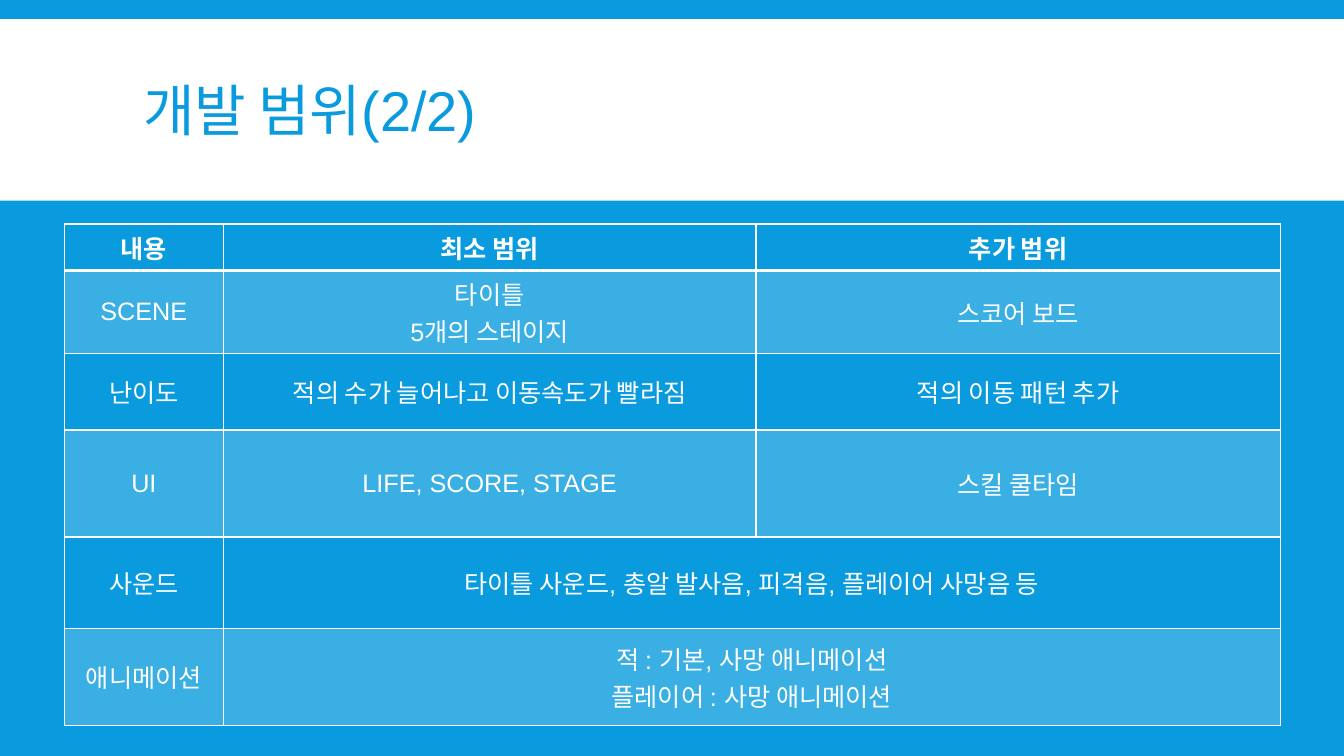
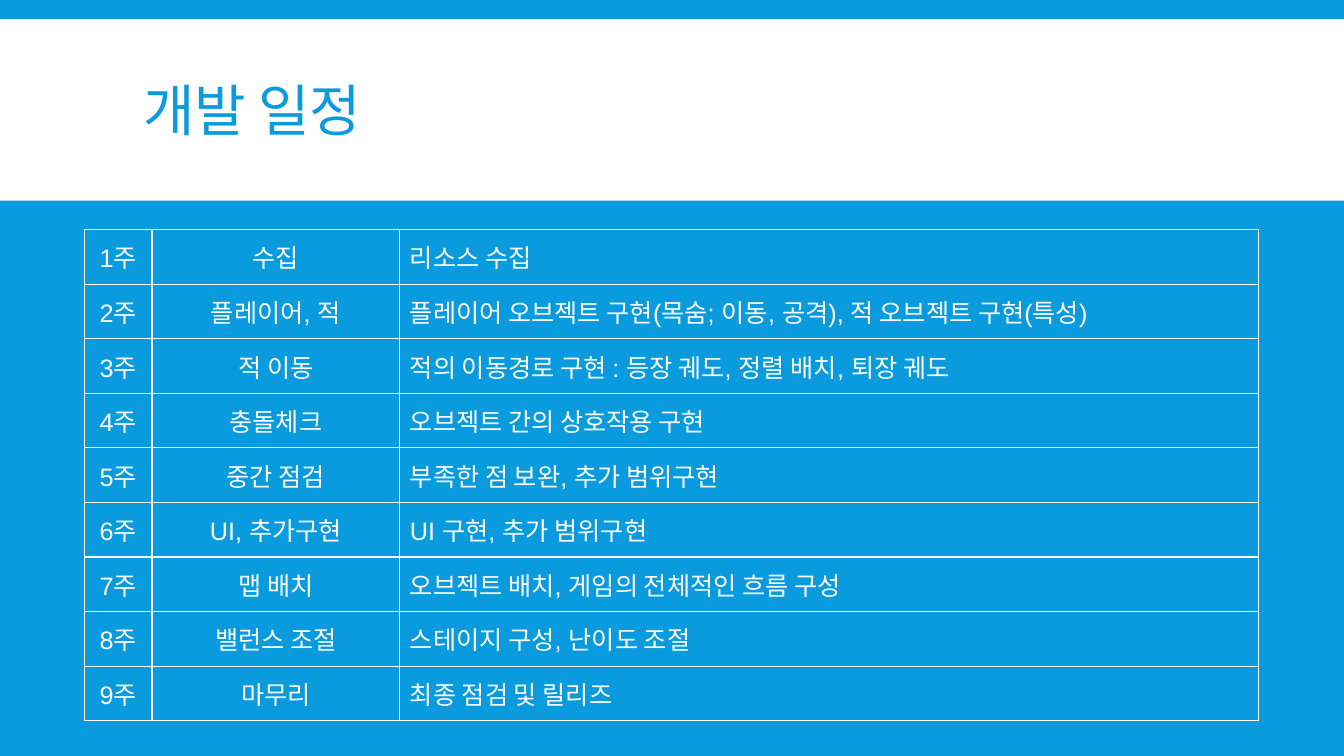
from pptx import Presentation
from pptx.dml.color import RGBColor
from pptx.enum.shapes import MSO_SHAPE as SHAPE
from pptx.enum.text import MSO_ANCHOR as ANCHOR, PP_ALIGN as ALIGN
from pptx.oxml import parse_xml
from pptx.oxml.ns import nsdecls, qn
from pptx.util import Pt

BLUE, WHITE = "099BDD", "FFFFFF"
FONT = "Arial"
TITLE_SIZE, CELL_SIZE = 40, 18
SLIDE_W, SLIDE_H = 960, 540
BAND_BOX = (0, 13.7, SLIDE_W, 129.6)
TITLE_BOX = (95, 22.3, 770.4, 118.8)

SCOPE_ROWS = [
    ("내용", "최소 범위", "추가 범위"),
    ("SCENE", "타이틀\n5개의 스테이지", "스코어 보드"),
    ("난이도", "적의 수가 늘어나고 이동속도가 빨라짐", "적의 이동 패턴 추가"),
    ("UI", "LIFE, SCORE, STAGE", "스킬 쿨타임"),
    ("사운드", "타이틀 사운드, 총알 발사음, 피격음, 플레이어 사망음 등"),
    ("애니메이션", "적 : 기본, 사망 애니메이션\n플레이어 : 사망 애니메이션"),
]
WEEKS = [
    ("수집", "리소스 수집"),
    ("플레이어, 적", "플레이어 오브젝트 구현(목숨; 이동, 공격), 적 오브젝트 구현(특성)"),
    ("적 이동", "적의 이동경로 구현 : 등장 궤도, 정렬 배치, 퇴장 궤도"),
    ("충돌체크", "오브젝트 간의 상호작용 구현"),
    ("중간 점검", "부족한 점 보완, 추가 범위구현"),
    ("UI, 추가구현", "UI 구현, 추가 범위구현"),
    ("맵 배치", "오브젝트 배치, 게임의 전체적인 흐름 구성"),
    ("밸런스 조절", "스테이지 구성, 난이도 조절"),
    ("마무리", "최종 점검 및 릴리즈"),
]


def rgb(color):
    """Turn a hex string into a colour."""
    return RGBColor.from_string(color)


def points(values):
    """Turn numbers into lengths in points."""
    return [Pt(v) for v in values]


def style_text(tf, size, color, font=FONT, bold=False, align=ALIGN.LEFT):
    """Format every paragraph and run of a text frame."""
    for p in tf.paragraphs:
        p.alignment = align
        for r in p.runs:
            r.font.size, r.font.name, r.font.bold = Pt(size), font, bold
            r.font.color.rgb = rgb(color)


def add_titled_slide(prs, text, font=FONT):
    """Add a blue slide with the white title band."""
    s = prs.slides.add_slide(prs.slide_layouts.get_by_name("Title Only"))
    s.background.fill.solid()
    s.background.fill.fore_color.rgb = rgb(BLUE)

    band = s.shapes.add_shape(SHAPE.RECTANGLE, *points(BAND_BOX))
    band.shadow.inherit = False
    band.fill.solid()
    band.fill.fore_color.rgb = rgb(WHITE)
    band.line.fill.background()

    title = s.shapes.title
    title.element.addprevious(band.element)
    title.left, title.top, title.width, title.height = points(TITLE_BOX)
    tf = title.text_frame
    tf.text = text
    tf.vertical_anchor = ANCHOR.MIDDLE
    tf.paragraphs[0].line_spacing = 0.85
    style_text(tf, TITLE_SIZE, BLUE, font)
    return s


def set_borders(cell, top=1, bottom=1):
    """Draw white lines, with widths in points, around a cell."""
    tc_pr = cell._tc.get_or_add_tcPr()
    widths = {"lnL": 1, "lnR": 1, "lnT": top, "lnB": bottom}
    for i, (tag, width) in enumerate(widths.items()):
        tc_pr.insert(i, parse_xml(
            f'<a:{tag} {nsdecls("a")} w="{Pt(width)}"><a:solidFill>'
            f'<a:srgbClr val="{WHITE}"/></a:solidFill></a:{tag}>'))


def fill_cell(cell, tinted):
    """Tint a cell with 20% white, or leave it clear."""
    if not tinted:
        cell.fill.background()
        return
    cell.fill.solid()
    cell.fill.fore_color.rgb = rgb(WHITE)
    color = cell._tc.tcPr.find(qn("a:solidFill"))[0]
    color.append(parse_xml(f'<a:alpha {nsdecls("a")} val="20000"/>'))


def add_grid(s, left, top, widths, heights, rows, header=False,
             last_align=ALIGN.CENTER):
    """Add a table; a short row spans its last cell to the right edge."""
    box = points((left, top, sum(widths), sum(heights)))
    table = s.shapes.add_table(len(heights), len(widths), *box).table
    table.first_row, table.horz_banding = header, False
    for column, width in zip(table.columns, widths):
        column.width = Pt(width)
    last = len(widths) - 1
    for i, (height, texts) in enumerate(zip(heights, rows)):
        table.rows[i].height = Pt(height)
        is_header = header and i == 0
        for j in range(len(widths)):
            cell = table.cell(i, j)
            fill_cell(cell, header and i % 2 == 1)
            set_borders(cell, top=2 if header and i == 1 else 1,
                        bottom=2 if is_header else 1)
            cell.vertical_anchor = ANCHOR.MIDDLE
            if j < len(texts):
                cell.text_frame.text = texts[j]
                style_text(cell.text_frame, CELL_SIZE, WHITE, bold=is_header,
                           align=last_align if j == last else ALIGN.CENTER)
        if len(texts) <= last:
            table.cell(i, len(texts) - 1).merge(table.cell(i, last))


def build_scope(prs):
    """Build the development scope slide."""
    s = add_titled_slide(prs, "개발 범위(2/2)")
    add_grid(s, 46, 160, (113.5, 380.5, 374.5), (33, 59, 54.5, 76.5, 65.5, 69),
             SCOPE_ROWS, header=True)


def build_schedule(prs):
    """Build the weekly schedule slide."""
    s = add_titled_slide(prs, "개발 일정", "Calibri")
    rows = [(f"{n}주", *week) for n, week in enumerate(WEEKS, 1)]
    add_grid(s, 60.4, 164, (48.2, 177, 613.4), [39] * len(rows), rows,
             last_align=ALIGN.LEFT)


prs = Presentation()
prs.slide_width, prs.slide_height = points((SLIDE_W, SLIDE_H))
build_scope(prs)
build_schedule(prs)
prs.save("out.pptx")
